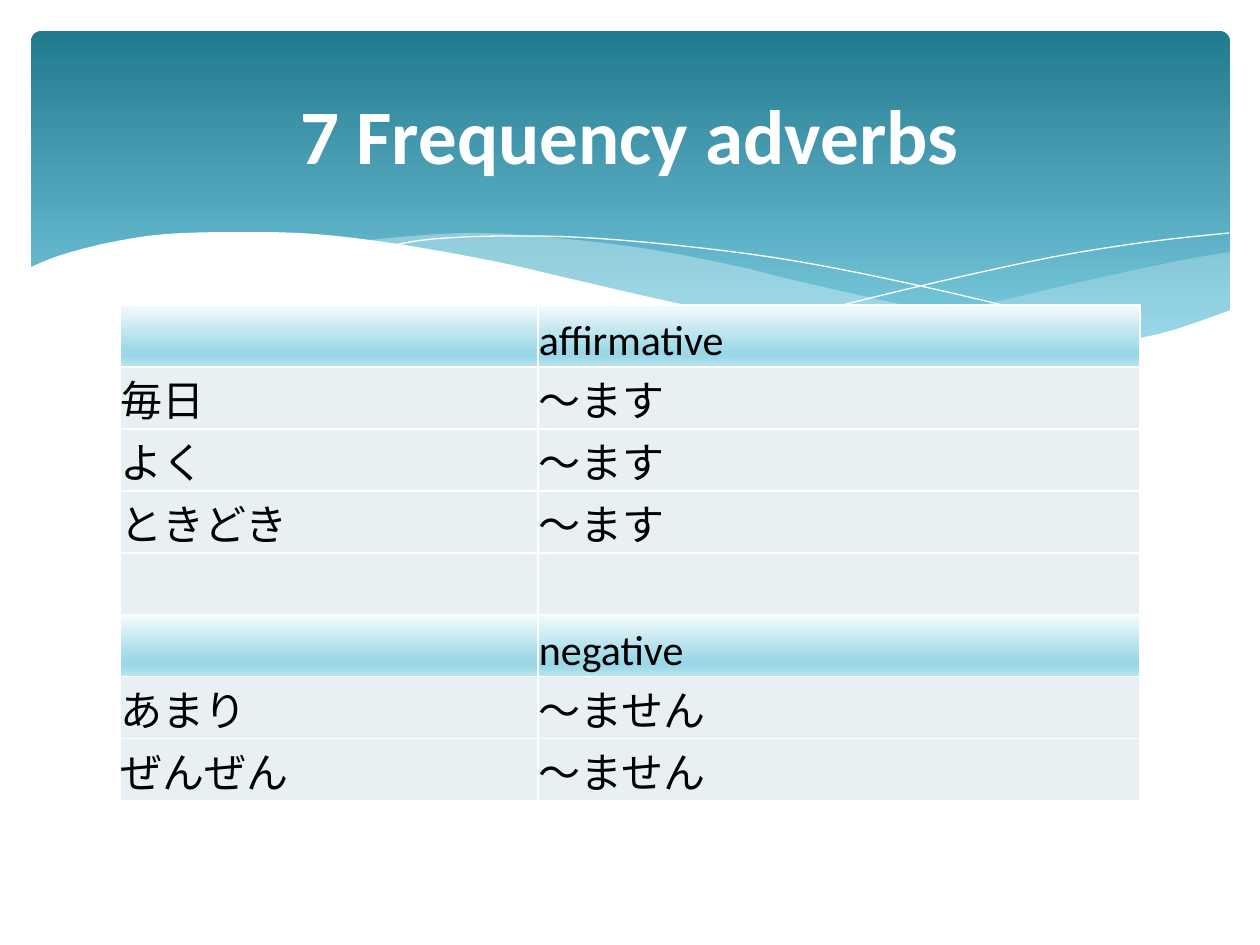
from lxml import etree
from pptx import Presentation
from pptx import util as u
from pptx.dml.color import RGBColor
from pptx.enum import shapes, text
from pptx.oxml.ns import qn

PX = 914400 / 126  # EMU in one px
WHITE = RGBColor(0xFF, 0xFF, 0xFF)
BLACK = RGBColor(0, 0, 0)
TEAL = RGBColor(0x22, 0x7A, 0x8F)
AQUA = RGBColor(0x7A, 0xCB, 0xE0)
MIST = RGBColor(0xDE, 0xF5, 0xFA)
ROW = RGBColor(0xE8, 0xF0, 0xF4)
HEAD_TOP = RGBColor(0xF4, 0xFB, 0xFC)
HEAD_MID = RGBColor(0x9B, 0xD8, 0xE7)
HEAD_END = RGBColor(0xBC, 0xE5, 0xEF)

prs = Presentation()
prs.slide_width, prs.slide_height = round(1260 * PX), round(945 * PX)
slide = prs.slides.add_slide(prs.slide_layouts[5])


def shade(fill, owner, stops):
    """Fill from top to bottom with (percent, colour) stops."""
    fill.gradient()
    fill.gradient_angle = 270
    stop_list = owner.find(".//" + qn("a:gsLst"))
    for old in list(stop_list):
        stop_list.remove(old)
    for percent, colour in stops:
        stop = etree.SubElement(stop_list, qn("a:gs"), pos=str(percent * 1000))
        etree.SubElement(stop, qn("a:srgbClr"), val=str(colour))


def wave(edges, closed):
    """Draw an outline whose edges are each smoothed through their points."""
    outline = []
    for edge in edges:
        padded = [edge[0], *edge, edge[-1]]
        outline.append(edge[0])
        for a, b, c, d in zip(padded, padded[1:], padded[2:], padded[3:]):
            for t in (0.25, 0.5, 0.75, 1):
                outline.append([
                    (2 * q + (r - p) * t + (2 * p - 5 * q + 4 * r - s) * t**2
                     + (3 * q - p - 3 * r + s) * t**3) / 2
                    for p, q, r, s in zip(a, b, c, d)])
    outline = [(x * PX, y * PX) for x, y in outline]
    builder = slide.shapes.build_freeform(*outline[0])
    builder.add_line_segments(outline[1:], close=closed)
    shape = builder.convert_to_shape()
    shape.shadow.inherit = False
    return shape


# Header panel
panel = slide.shapes.add_shape(
    shapes.MSO_SHAPE.ROUNDED_RECTANGLE,
    *(round(v * PX) for v in (31, 31, 1199, 340)))
panel.adjustments[0] = 0.03
panel.shadow.inherit = False
panel.line.fill.background()
shade(panel.fill, panel._element.spPr, [(0, TEAL), (90, AQUA)])

# Translucent waves: upper edge, lower edge, opacity
right_wave = [
    [(1230, 252), (1178, 261), (1085, 281), (982, 305), (890, 324), (833, 334)],
    [(833, 334), (888, 341), (954, 348), (1012, 350), (1076, 348), (1140, 339),
     (1187, 326), (1230, 311)]]
middle_wave = [
    [(360, 241), (413, 236), (479, 233), (557, 238), (648, 249), (736, 266),
     (793, 280), (890, 302), (977, 320), (1055, 334), (1125, 344)],
    [(1125, 344), (1080, 349), (1017, 350), (942, 348), (857, 338), (757, 321),
     (668, 302), (566, 280), (483, 261), (431, 251), (360, 241)]]
for edges, opacity in ((right_wave, 29), (middle_wave, 40)):
    mist = wave(edges, True)
    mist.fill.solid()
    mist.fill.fore_color.rgb = MIST
    mist.line.fill.background()
    colour = mist._element.spPr.find(".//" + qn("a:srgbClr"))
    etree.SubElement(colour, qn("a:alpha"), val=str(opacity * 1000))

# Hairline crests
falling_crest = [(389, 246), (433, 239), (505, 236), (591, 238), (701, 248),
                 (801, 262), (916, 285), (1047, 316), (1143, 343)]
rising_crest = [(772, 324), (847, 304), (942, 281), (1053, 257), (1147, 242),
                (1229, 233)]
for points in (falling_crest, rising_crest):
    crest = wave([points], False)
    crest.fill.background()
    crest.line.color.rgb = WHITE
    crest.line.width = 0

# White wave that cuts off the foot of the panel
foot = wave([
    [(29, 268), (58, 256), (107, 243), (166, 234), (243, 232), (315, 234),
     (398, 244), (493, 261), (563, 277), (667, 301), (760, 320), (867, 338),
     (959, 347), (1019, 349), (1087, 345), (1159, 334), (1231, 310)],
    [(1231, 415), (29, 415)]], True)
foot.fill.solid()
foot.fill.fore_color.rgb = WHITE
foot.line.fill.background()

# Adverb table
adverbs = [
    ("", "affirmative"),
    ("毎日", "～ます"),
    ("よく", "～ます"),
    ("ときどき", "～ます"),
    ("", ""),
    ("", "negative"),
    ("あまり", "～ません"),
    ("ぜんぜん", "～ません"),
]
HEADINGS = ("affirmative", "negative")
table = slide.shapes.add_table(
    len(adverbs), 2, *(round(v * PX) for v in (120, 305, 1020, 496))).table
table.first_row = table.horz_banding = False
for column, width in zip(table.columns, (418, 602)):
    column.width = round(width * PX)
for row, words in zip(table.rows, adverbs):
    row.height = round(62 * PX)
    for cell, word in zip(row.cells, words):
        cell.margin_left = cell.margin_right = cell.margin_top = round(PX)
        cell.margin_bottom = 0
        cell.vertical_anchor = text.MSO_ANCHOR.BOTTOM
        cell.text_frame.text = word
        font = cell.text_frame.paragraphs[0].font
        for run in cell.text_frame.paragraphs[0].runs:
            run.font.size = u.Pt(24)
            run.font.name = "Calibri"
            run.font.color.rgb = BLACK
        tc_pr = cell._tc.get_or_add_tcPr()
        for side in ("lnL", "lnR", "lnT", "lnB"):
            border = etree.SubElement(tc_pr, qn("a:" + side), w=str(u.Pt(1)))
            paint = etree.SubElement(border, qn("a:solidFill"))
            etree.SubElement(paint, qn("a:srgbClr"), val=str(WHITE))
        if words[1] in HEADINGS:
            shade(cell.fill, tc_pr, [(0, HEAD_TOP), (74, HEAD_MID),
                                     (83, HEAD_MID), (100, HEAD_END)])
        else:
            cell.fill.solid()
            cell.fill.fore_color.rgb = ROW

# Title, brought in front of the panel
title = slide.shapes.title
title.left, title.top, title.width, title.height = (
    round(v * PX) for v in (63, 47, 1134, 173))
title.text_frame.text = "7 Frequency adverbs"
title.text_frame.vertical_anchor = text.MSO_ANCHOR.MIDDLE
heading = title.text_frame.paragraphs[0]
heading.alignment = text.PP_ALIGN.CENTER
heading.runs[0].font.size = u.Pt(44)
heading.runs[0].font.name = "Calibri"
heading.runs[0].font.bold = True
heading.runs[0].font.color.rgb = WHITE
slide.shapes._spTree.append(title._element)

prs.save("out.pptx")
